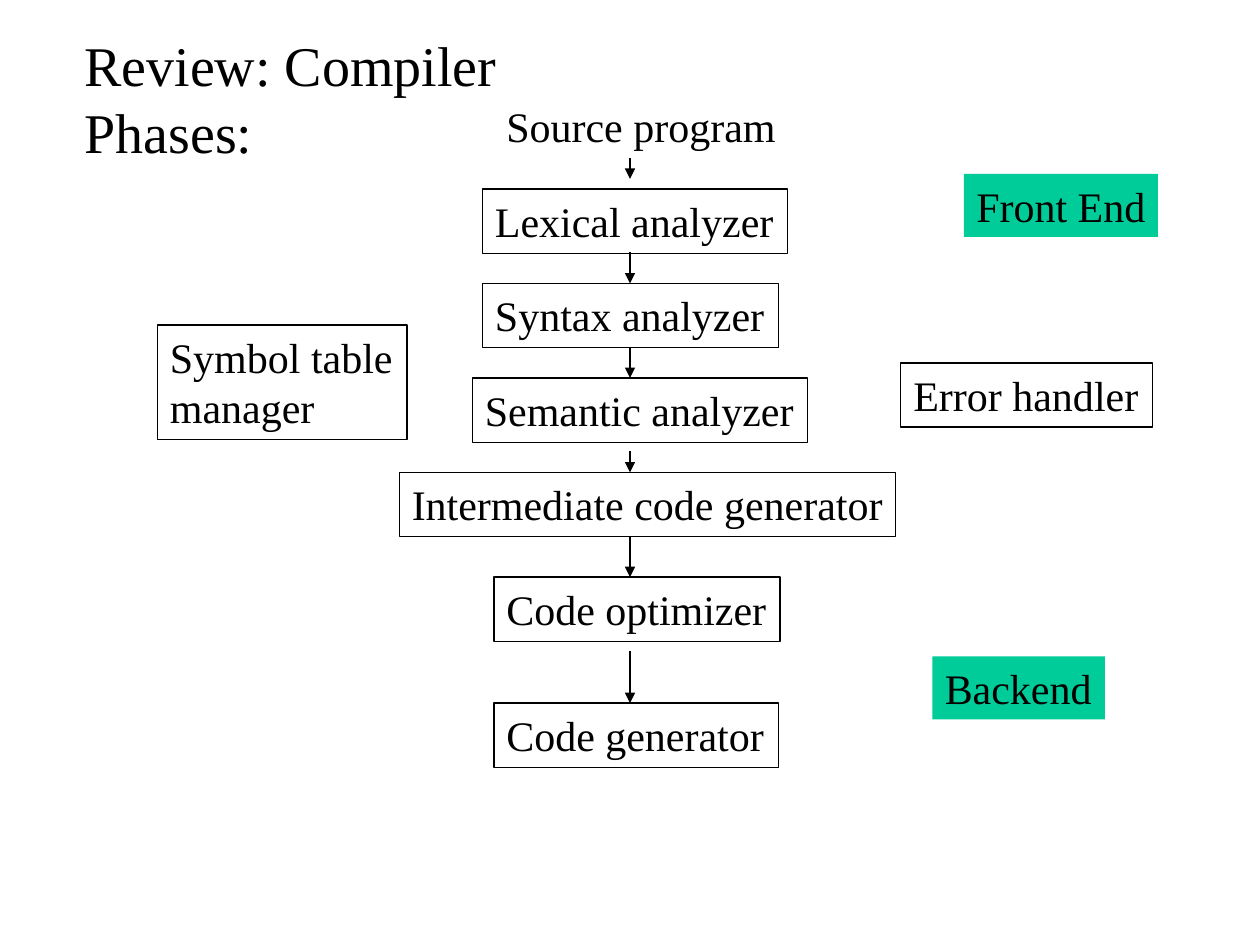
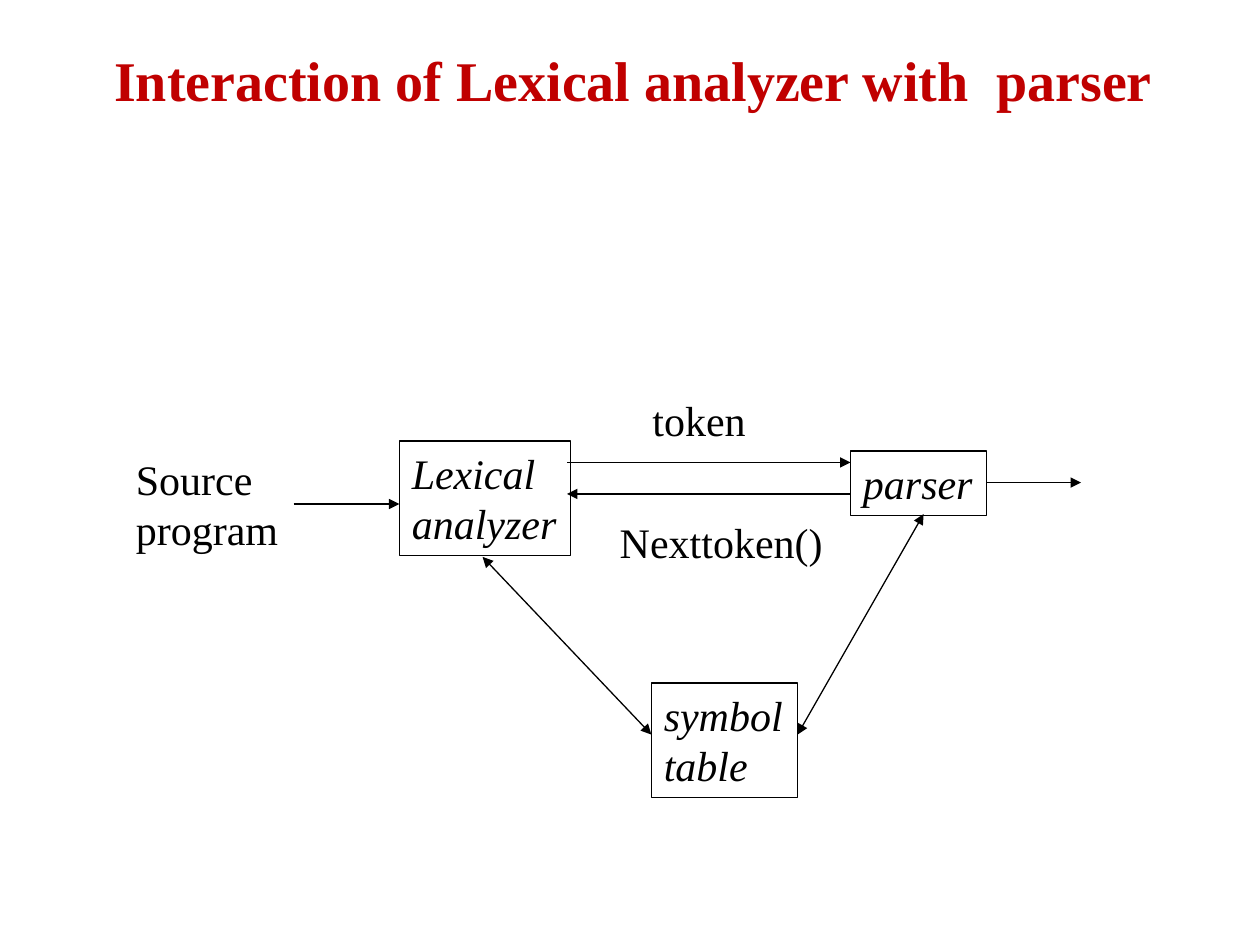
import dataclasses

import lxml.etree
import pptx
import pptx.dml.color
import pptx.enum.shapes
import pptx.enum.text
import pptx.oxml.ns
import pptx.util

Inches = pptx.util.Inches
Align = pptx.enum.text.PP_ALIGN
Anchor = pptx.enum.text.MSO_ANCHOR


@dataclasses.dataclass(frozen=True)
class Theme:
    """Colours, type and measures shared by the slides."""
    font: str = "Times New Roman"
    ink: str = "000000"
    accent: str = "C00000"
    stage: str = "00CC99"
    title_size: int = 32
    body_size: int = 24
    line_width: float = 0.75
    one_line: float = 0.51
    two_lines: float = 0.91


@dataclasses.dataclass(frozen=True)
class Box:
    """A region in inches."""
    left: float
    top: float
    width: float
    height: float

    def inside(self, left, top, width, height):
        """Return a box placed relative to this one."""
        return Box(self.left + left, self.top + top, width, height)

    def lengths(self):
        """Return the four sides as lengths."""
        return [Inches(side) for side in (self.left, self.top, self.width, self.height)]


THEME = Theme()


def colour(value):
    """Turn a hexadecimal value into a colour."""
    return pptx.dml.color.RGBColor.from_string(value)


def write(shape, lines, size, ink=THEME.ink, bold=False, italic=False,
          align=Align.LEFT, anchor=Anchor.TOP, wrap=False):
    """Fill a shape with one paragraph per line."""
    frame = shape.text_frame
    frame.word_wrap = wrap
    frame.auto_size = pptx.enum.text.MSO_AUTO_SIZE.NONE
    frame.vertical_anchor = anchor
    for index, line in enumerate(lines):
        paragraph = frame.add_paragraph() if index else frame.paragraphs[0]
        paragraph.alignment = align
        run = paragraph.add_run()
        run.text = line
        run.font.name = THEME.font
        run.font.size = pptx.util.Pt(size)
        run.font.bold = bold
        run.font.italic = italic
        run.font.color.rgb = colour(ink)


def add_title(slide, box, text, **style):
    """Place and format the title placeholder."""
    title = slide.shapes.title
    title.left, title.top, title.width, title.height = box.lengths()
    write(title, [text], THEME.title_size, wrap=True, **style)


def add_label(slide, box, *lines):
    """Add plain text without a frame."""
    write(slide.shapes.add_textbox(*box.lengths()), lines, THEME.body_size)


def add_block(slide, box, *lines, fill=None, italic=False):
    """Add an outlined rectangle, or a filled one without outline."""
    shape = slide.shapes.add_shape(pptx.enum.shapes.MSO_SHAPE.RECTANGLE, *box.lengths())
    shape.shadow.inherit = False
    if fill:
        shape.fill.solid()
        shape.fill.fore_color.rgb = colour(fill)
        shape.line.fill.background()
    else:
        shape.fill.background()
        shape.line.color.rgb = colour(THEME.ink)
        shape.line.width = pptx.util.Pt(THEME.line_width)
    write(shape, lines, THEME.body_size, italic=italic)


def add_arrow(slide, region, start, end, both=False):
    """Draw an arrow between two points of a region."""
    points = [Inches(origin + offset) for point in (start, end)
              for origin, offset in zip((region.left, region.top), point)]
    arrow = slide.shapes.add_connector(pptx.enum.shapes.MSO_CONNECTOR.STRAIGHT, *points)
    arrow.line.color.rgb = colour(THEME.ink)
    arrow.line.width = pptx.util.Pt(THEME.line_width)
    line = arrow.line._get_or_add_ln()
    for end_name in ("a:headEnd", "a:tailEnd") if both else ("a:tailEnd",):
        lxml.etree.SubElement(line, pptx.oxml.ns.qn(end_name), type="triangle")
    lxml.etree.SubElement(arrow._element.spPr, pptx.oxml.ns.qn("a:effectLst"))


def draw_phase_column(slide, region):
    """Stack the compiler phases, each with the arrow leading into it."""
    add_label(slide, region.inside(0.75, 0, 2.34, 0.5), "Source program")
    axis = 1.83
    phases = [
        ("Lexical analyzer", 0.66, 0.75, 2.42, 0.5, 0.67),
        ("Syntax analyzer", 0.66, 1.5, 2.35, 1.25, 1.5),
        ("Semantic analyzer", 0.58, 2.25, 2.66, 2, 2.25),
        ("Intermediate code generator", 0, 3, 3.94, 2.83, 3),
        ("Code optimizer", 0.75, 3.83, 2.27, 3.5, 3.83),
        ("Code generator", 0.75, 4.83, 2.26, 4.42, 4.83),
    ]
    for name, left, top, width, arrow_start, arrow_end in phases:
        add_block(slide, region.inside(left, top, width, THEME.one_line), name)
        add_arrow(slide, region, (axis, arrow_start), (axis, arrow_end))


def draw_stage_column(slide, region):
    """Name the two stages and the error handler between them."""
    add_block(slide, region.inside(0.5, 0, 1.54, 0.5), "Front End", fill=THEME.stage)
    add_block(slide, region.inside(0, 1.5, 2, THEME.one_line), "Error handler")
    add_block(slide, region.inside(0.25, 3.83, 1.37, 0.5), "Backend", fill=THEME.stage)


def draw_interaction(slide, region):
    """Show how the lexical analyzer, parser and symbol table exchange data."""
    add_label(slide, region.inside(0, 0.47, 1.33, 0.9), "Source", "program")
    add_label(slide, region.inside(4.1, 0, 0.94, 0.5), "token")
    add_label(slide, region.inside(3.84, 0.97, 1.81, 0.5), "Nexttoken()")
    add_block(slide, region.inside(2.19, 0.42, 1.36, THEME.two_lines),
              "Lexical", "analyzer", italic=True)
    add_block(slide, region.inside(4.19, 2.34, 1.16, THEME.two_lines),
              "symbol", "table", italic=True)
    add_block(slide, region.inside(5.77, 0.5, 1.08, THEME.one_line), "parser", italic=True)
    for start, end in [((1.35, 0.92), (2.19, 0.92)), ((3.52, 0.59), (5.77, 0.59)),
                       ((5.77, 0.84), (3.52, 0.84)), ((6.85, 0.75), (7.6, 0.75))]:
        add_arrow(slide, region, start, end)
    for start, end in [((2.85, 1.34), (4.19, 2.75)), ((5.35, 2.75), (6.35, 1))]:
        add_arrow(slide, region, start, end, both=True)


def build_phases_slide(slide, page):
    """Build the review of compiler phases."""
    add_title(slide, page.inside(0.57, 0.19, 4.8, 1.2), "Review: Compiler Phases:")
    draw_phase_column(slide, page.inside(3.17, 0.75, 3.94, 5.34))
    add_block(slide, page.inside(1.25, 2.58, 1.98, THEME.two_lines), "Symbol table", "manager")
    draw_stage_column(slide, page.inside(7.15, 1.38, 2.04, 4.33))


def build_interaction_slide(slide, page):
    """Build the diagram of lexical analyzer and parser."""
    add_title(slide, page.inside(0.78, 0, 8.5, 1.25),
              "Interaction of Lexical analyzer with  parser",
              ink=THEME.accent, bold=True, align=Align.CENTER, anchor=Anchor.MIDDLE)
    draw_interaction(slide, page.inside(0.98, 3.08, 7.6, 3.25))


def main():
    """Build and save the presentation."""
    presentation = pptx.Presentation()
    page = Box(0, 0, 10, 7.5)
    presentation.slide_width = Inches(page.width)
    presentation.slide_height = Inches(page.height)
    title_only = presentation.slide_layouts.get_by_name("Title Only")
    for build in (build_phases_slide, build_interaction_slide):
        build(presentation.slides.add_slide(title_only), page)
    presentation.save("out.pptx")


if __name__ == "__main__":
    main()
